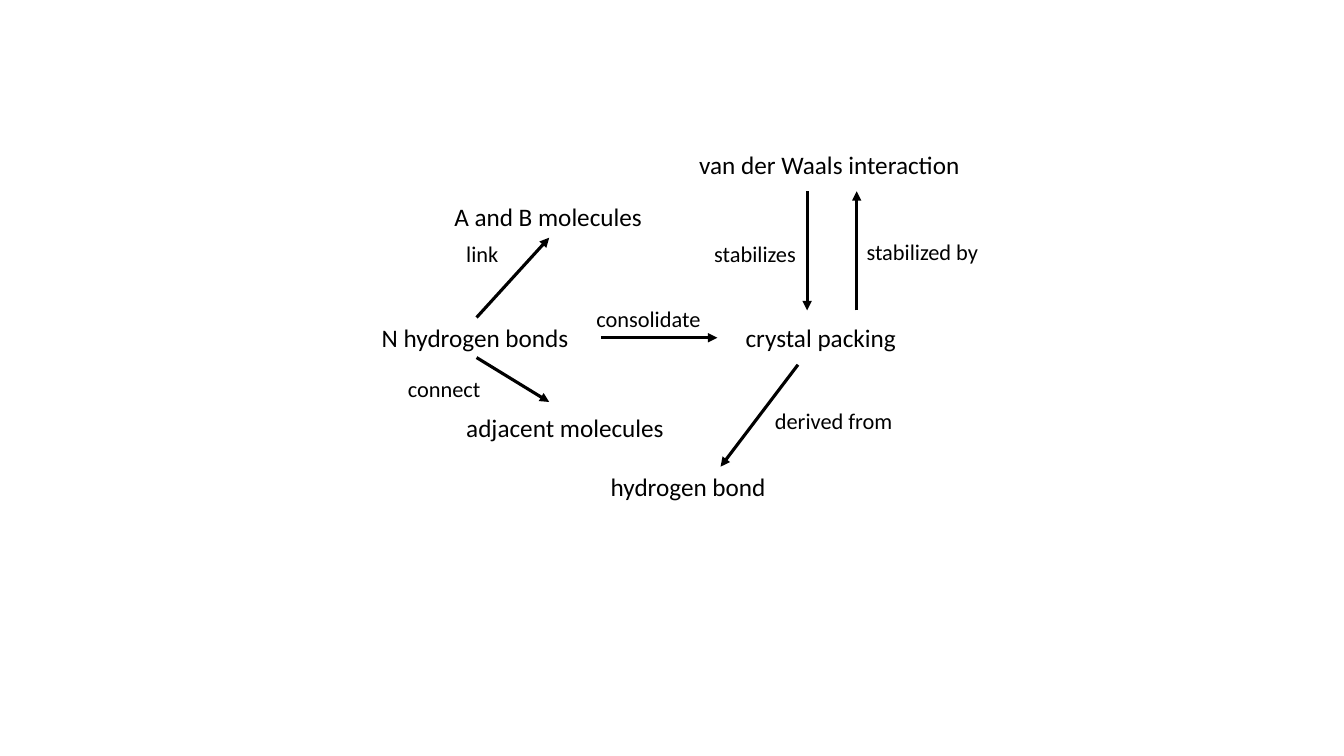
from lxml.etree import SubElement
from pptx import Presentation
from pptx.dml.color import RGBColor
from pptx.enum.shapes import MSO_CONNECTOR
from pptx.enum.text import MSO_AUTO_SIZE
from pptx.oxml.ns import qn
from pptx.util import Cm, Pt

BLACK = RGBColor(0, 0, 0)
FONT = "Calibri"

CONCEPTS = [
    ("N hydrogen bonds", 0, 4.37, 5.28),
    ("A and B molecules", 1.83, 1.32, 5.31),
    ("crystal packing", 9.17, 4.37, 4.34),
    ("adjacent molecules", 2.13, 6.63, 5.54),
    ("van der Waals interaction", 8, 0, 7.16),
    ("hydrogen bond", 5.77, 8.13, 4.47),
]
RELATIONS = [
    ("consolidate", (5.41, 3.94, 3.18), (5.77, 4.88), (8.71, 4.88)),
    ("link", (2.13, 2.29, 1.32), (2.64, 4.37), (4.47, 2.36)),
    ("connect", (0.66, 5.69, 2.36), (2.64, 5.38), (4.47, 6.5)),
    ("stabilized by", (12.22, 2.24, 3.35), (12.22, 4.19), (12.22, 1.19)),
    ("stabilizes", (8.38, 2.29, 2.59), (10.97, 1.19), (10.97, 4.19)),
    ("derived from", (9.91, 6.5, 3.51), (10.74, 5.56), (8.79, 8.13)),
]


def add_text(shapes, text, left, top, width, height, size, color=BLACK):
    box = shapes.add_textbox(Cm(left), Cm(top), Cm(width), Cm(height))
    frame = box.text_frame
    frame.word_wrap = False
    frame.auto_size = MSO_AUTO_SIZE.SHAPE_TO_FIT_TEXT
    span = frame.paragraphs[0].add_run()
    span.text = text
    span.font.name = FONT
    span.font.size = Pt(size)
    span.font.color.rgb = color


def add_arrow(shapes, start, end):
    arrow = shapes.add_connector(
        MSO_CONNECTOR.STRAIGHT, *(Cm(length) for length in (*start, *end))
    )
    arrow.line.color.rgb = BLACK
    arrow.line.width = Pt(2.25)
    SubElement(arrow.line._get_or_add_ln(), qn("a:tailEnd"), type="triangle")
    SubElement(arrow._element.spPr, qn("a:effectLst"))


def add_concept_map(page, left, top):
    shapes = page.shapes.add_group_shape().shapes
    for text, x, y, width in CONCEPTS:
        add_text(shapes, text, left + x, top + y, width, 1.02, size=18)
    for text, (x, y, width), start, end in RELATIONS:
        add_arrow(
            shapes,
            (left + start[0], top + start[1]),
            (left + end[0], top + end[1]),
        )
        add_text(shapes, text, left + x, top + y, width, 0.94, size=16)


def main():
    deck = Presentation()
    deck.slide_width = Cm(33.87)
    deck.slide_height = Cm(19.05)
    page = deck.slides.add_slide(deck.slide_layouts.get_by_name("Blank"))
    add_concept_map(page, left=9.37, top=3.63)
    deck.save("out.pptx")


if __name__ == "__main__":
    main()
